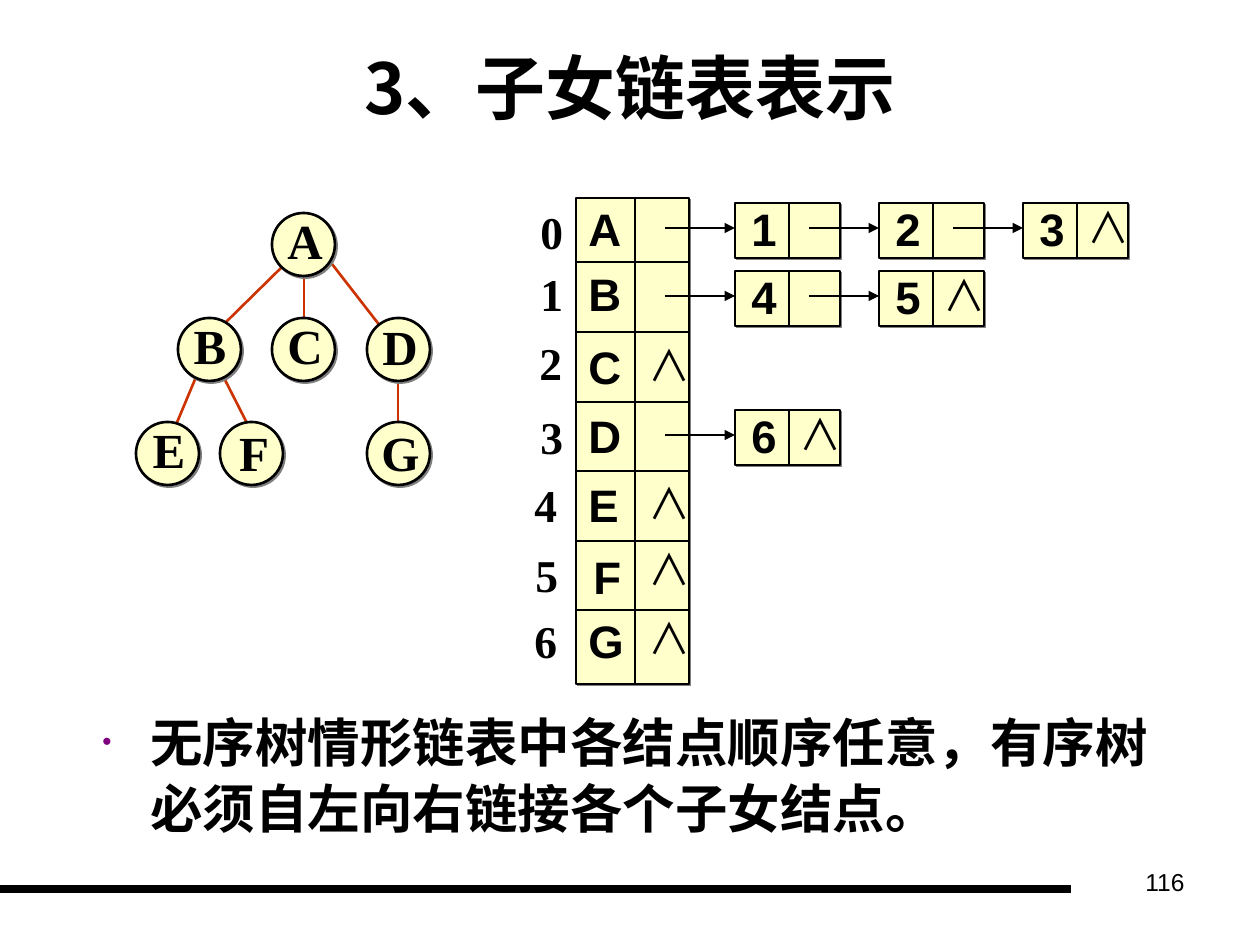
from lxml.etree import SubElement
from pptx import Presentation
from pptx.dml.color import RGBColor
from pptx.enum.shapes import MSO_CONNECTOR as LINE, MSO_SHAPE as SHAPE
from pptx.enum.text import MSO_ANCHOR as ANCHOR, MSO_AUTO_SIZE as AUTO, PP_ALIGN as ALIGN
from pptx.oxml.ns import qn
from pptx.util import Emu, Pt

TITLE = "3、子女链表表示"
NOTE = "无序树情形链表中各结点顺序任意，有序树必须自左向右链接各个子女结点。"
PAGE = "116"
NIL = "∧"
BLACK, CREAM, RED, GRAY, PURPLE = "000000", "FFFFCC", "CC3300", "808080", "800080"
SANS, SERIF, CJK, CJK_TITLE = "Arial", "Times New Roman", "Noto Sans CJK SC", "Noto Sans CJK JP"

# Tree: node name, left, top, and the nudge of its label
NODES = [
    ("A", 272, 213, 3, -9), ("C", 272, 318, 3, -9), ("F", 220, 422, 4, -6),
    ("E", 136, 422, 3, -9), ("B", 178, 318, 2, -9), ("D", 367, 318, 3, -8),
    ("G", 367, 422, 2, -6),
]
EDGES = [
    (398, 370, 398, 444), (325, 255, 398, 349), (220, 370, 252, 433),
    (199, 370, 168, 444), (284, 265, 220, 328), (304, 265, 304, 328),
]
NODE_SIZE = 63

# Array: index and its place, name and its place, top of the nil mark, children, top of the chain
ROWS = [
    ("0", 528, 198, "A", 576, 195, None, "123", 203),
    ("1", 528, 260, "B", 576, 260, None, "45", 271),
    ("2", 527, 329, "C", 576, 333, 333, "", None),
    ("3", 528, 403, "D", 576, 402, None, "6", 410),
    ("4", 522, 471, "E", 576, 471, 471, "", None),
    ("5", 523, 541, "F", 581, 543, 537, "", None),
    ("6", 522, 607, "G", 576, 607, 606, "", None),
]
ARRAY_LEFT, ARRAY_TOP, ARRAY_W, ARRAY_H = 576, 198, 113, 486
ARRAY_SPLIT = 635
ROW_LINES = [262, 332, 402, 471, 541, 610]
CELL_LEFT, CELL_STEP, CELL_W, CELL_H, CELL_SPLIT = 735, 144, 105, 55, 54
ARROW_LENGTH, ARROW_DROP = 70, 25


def px(n):
    return Emu(round(n * 914400 / 126))


def color(hex_string):
    return RGBColor.from_string(hex_string)


def add_text(parent, text, left, top, width, height, size, font, bold=True,
             align=ALIGN.LEFT, anchor=ANCHOR.TOP, wrap=False, grow=True, east=None):
    box = parent.shapes.add_textbox(px(left), px(top), px(width), px(height))
    frame = box.text_frame
    frame.word_wrap = wrap
    frame.auto_size = AUTO.SHAPE_TO_FIT_TEXT if grow else AUTO.NONE
    frame.vertical_anchor = anchor
    paragraph = frame.paragraphs[0]
    paragraph.alignment = align
    run = paragraph.add_run()
    run.text = text
    run.font.size = Pt(size)
    run.font.bold = bold
    run.font.color.rgb = color(BLACK)
    run.font.name = font
    if east:
        SubElement(run.font._element, qn("a:ea"), typeface=east)
    return paragraph


def add_line(parent, x1, y1, x2, y2, width=0.75, ink=BLACK, arrow=False):
    line = parent.shapes.add_connector(LINE.STRAIGHT, px(x1), px(y1), px(x2), px(y2))
    line.line.width = Pt(width)
    line.line.color.rgb = color(ink)
    if arrow:
        SubElement(line.line._get_or_add_ln(), qn("a:tailEnd"), type="triangle")
    SubElement(line._element.spPr, qn("a:effectLst"))


def add_box(parent, kind, left, top, width, height, border):
    """Add a cream shape with a hard gray shadow to the lower right."""
    box = parent.shapes.add_shape(kind, px(left), px(top), px(width), px(height))
    box.fill.solid()
    box.fill.fore_color.rgb = color(CREAM)
    box.line.color.rgb = color(BLACK)
    box.line.width = Pt(border)
    box.shadow.inherit = False
    effects = box._element.spPr.find(qn("a:effectLst"))
    shadow = SubElement(effects, qn("a:outerShdw"), dist=str(Pt(1.4)), dir="2700000",
                        algn="ctr", rotWithShape="0")
    SubElement(shadow, qn("a:srgbClr"), val=GRAY)


def add_nil(parent, left, top):
    add_text(parent, NIL, left, top, 55, 63, 24, CJK, bold=False, east=CJK)


def add_tree(slide):
    tree = slide.shapes.add_group_shape()
    for edge in EDGES:
        add_line(tree, *edge, width=1.5, ink=RED)
    for _, left, top, _, _ in NODES:
        add_box(tree, SHAPE.OVAL, left, top, NODE_SIZE, NODE_SIZE, 1.5)
    for name, left, top, dx, dy in NODES:
        add_text(tree, name, left + dx, top + dy, 60, 72, 28, SERIF,
                 align=ALIGN.CENTER, anchor=ANCHOR.MIDDLE)


def add_chain(parent, children, top):
    for i, child in enumerate(children):
        left = CELL_LEFT + i * CELL_STEP
        split = left + CELL_SPLIT
        arrow_y = top + ARROW_DROP
        add_box(parent, SHAPE.RECTANGLE, left, top, CELL_W, CELL_H, 0.75)
        add_line(parent, split, top, split, top + CELL_H)
        add_line(parent, left - ARROW_LENGTH, arrow_y, left, arrow_y, 1.5, arrow=True)
        add_text(parent, child, left + 4, top - 8, 50, 68, 26, SANS)
    add_nil(parent, split - 2, top - 8)


def add_child_lists(slide):
    lists = slide.shapes.add_group_shape()
    add_box(lists, SHAPE.RECTANGLE, ARRAY_LEFT, ARRAY_TOP, ARRAY_W, ARRAY_H, 0.75)
    for y in ROW_LINES:
        add_line(lists, ARRAY_LEFT + ARRAY_W, y, ARRAY_LEFT, y)
    add_line(lists, ARRAY_SPLIT, ARRAY_TOP, ARRAY_SPLIT, ARRAY_TOP + ARRAY_H)
    for index, index_x, index_y, name, name_x, name_y, nil_y, children, chain_y in ROWS:
        add_text(lists, index, index_x, index_y, 48, 68, 26, SERIF)
        add_text(lists, name, name_x, name_y, 58, 68, 26, SANS, wrap=True)
        if children:
            add_chain(lists, children, chain_y)
        else:
            add_nil(lists, ARRAY_SPLIT + 1, nil_y)


def add_note(slide):
    note = add_text(slide, NOTE, 90, 701, 1104, 164, 30, SANS, wrap=True, grow=False, east=CJK)
    note.line_spacing = 1.05
    props = note._p.get_or_add_pPr()
    props.set("marL", str(px(48)))
    props.set("indent", str(-px(48)))
    SubElement(SubElement(props, qn("a:buClr")), qn("a:srgbClr"), val=PURPLE)
    SubElement(props, qn("a:buSzPct"), val="50000")
    SubElement(props, qn("a:buFont"), typeface=SANS)
    SubElement(props, qn("a:buChar"), char="•")


def main():
    deck = Presentation()
    deck.slide_width, deck.slide_height = px(1260), px(945)
    slide = deck.slides.add_slide(deck.slide_layouts[6])
    add_line(slide, 0, 889, 1071, 889, 4.5)
    add_text(slide, PAGE, 903, 861, 294, 65, 14, SANS, bold=False,
             align=ALIGN.RIGHT, wrap=True, grow=False)
    add_text(slide, TITLE, 63, 38, 1134, 97, 40, CJK_TITLE, align=ALIGN.CENTER,
             anchor=ANCHOR.MIDDLE, wrap=True, grow=False, east=CJK_TITLE)
    add_note(slide)
    add_tree(slide)
    add_child_lists(slide)
    deck.save("out.pptx")


if __name__ == "__main__":
    main()
